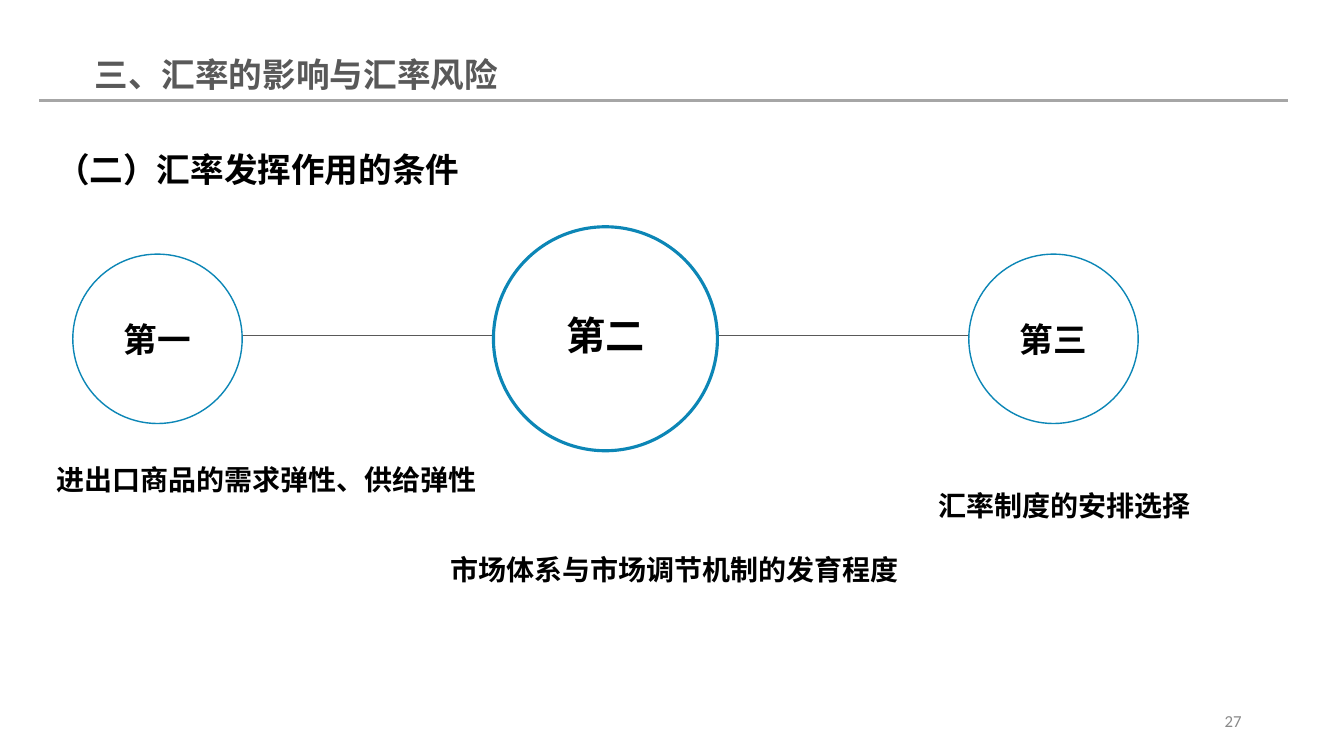
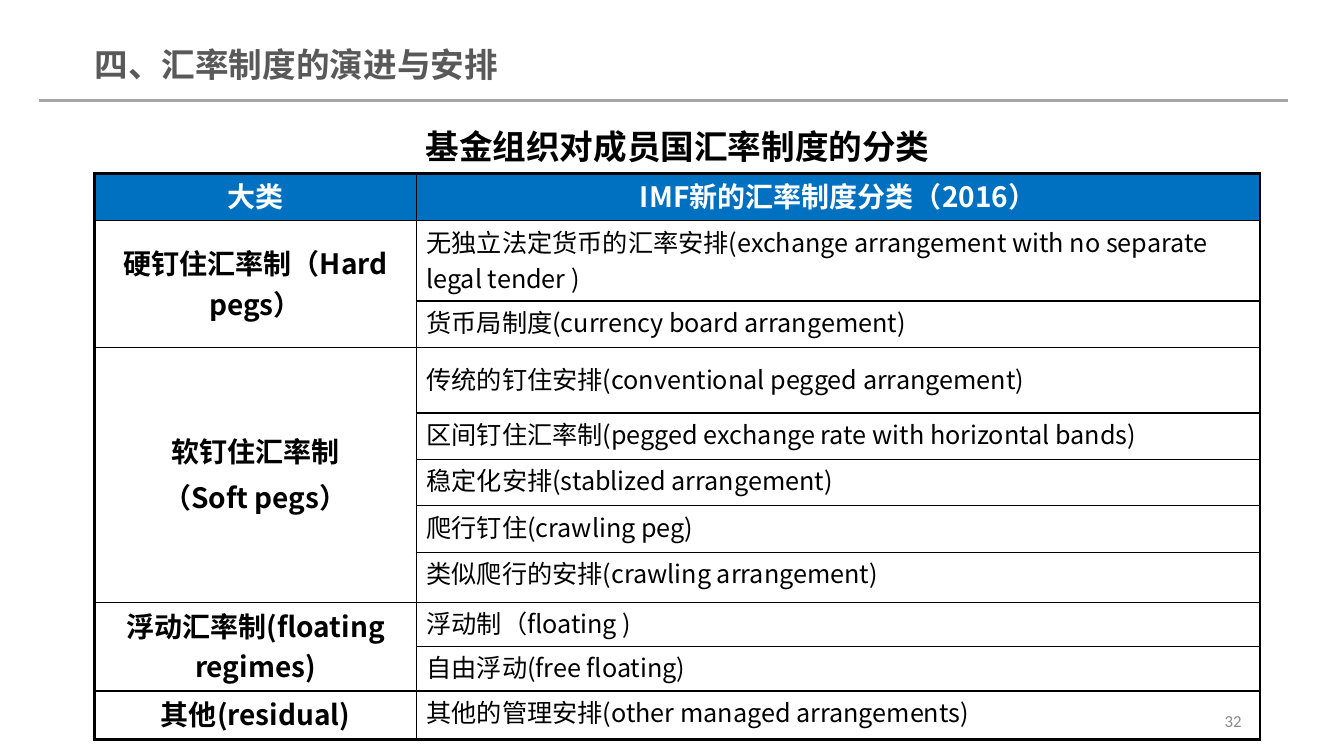
import pptx
import pptx.dml.color
import pptx.enum.shapes
import pptx.enum.text
import pptx.oxml.ns
import pptx.util
from lxml import etree

Pt = pptx.util.Pt
ALIGN = pptx.enum.text.PP_ALIGN
ANCHOR = pptx.enum.text.MSO_ANCHOR
qn = pptx.oxml.ns.qn

COLORS = {
    "text": "000000",
    "title": "595959",
    "rule": "A6A6A6",
    "page": "898989",
    "link": "595959",
    "ring": "0C86B6",
    "header": "0070C0",
    "white": "FFFFFF",
}
CJK = "Noto Sans CJK SC"


def rgb(name):
    return pptx.dml.color.RGBColor.from_string(COLORS[name])


class Deck:
    """Holds the shared style and the slide being filled."""

    def __init__(self):
        self.presentation = pptx.Presentation()
        self.presentation.slide_width = Pt(960)
        self.presentation.slide_height = Pt(540)
        self.slide = None

    def new_slide(self, title, title_top):
        self.slide = self.presentation.slides.add_slide(
            self.presentation.slide_layouts[6])
        self.line(28, 72, 920, 72, "rule", 2.25)
        self.text(title, 60.5, title_top, 480, 37, color="title")

    def page_number(self, number):
        self.text(str(number), 678, 500.5, 216, 29, size=12, color="page",
                  bold=False, font="Calibri", align=ALIGN.RIGHT,
                  anchor=ANCHOR.MIDDLE)

    def set_text(self, frame, text, size=24, color="text", bold=True,
                 font=CJK, align=ALIGN.LEFT, spacing=None):
        frame.text = text
        for index, paragraph in enumerate(frame.paragraphs):
            paragraph.alignment = align
            if spacing:
                paragraph.line_spacing = spacing
            if index:
                paragraph.space_before = Pt(4)
            paragraph.font.size = Pt(size)
            paragraph.font.bold = bold
            paragraph.font.color.rgb = rgb(color)
            paragraph.font.name = font
            defaults = paragraph._p.pPr.find(qn("a:defRPr"))
            etree.SubElement(defaults, qn("a:ea")).set("typeface", font)

    def text(self, text, left, top, width, height, wrap=True,
             anchor=ANCHOR.TOP, **style):
        box = self.slide.shapes.add_textbox(
            Pt(left), Pt(top), Pt(width), Pt(height))
        box.text_frame.word_wrap = wrap
        box.text_frame.vertical_anchor = anchor
        self.set_text(box.text_frame, text, **style)

    def line(self, x1, y1, x2, y2, color, width):
        connector = self.slide.shapes.add_connector(
            pptx.enum.shapes.MSO_CONNECTOR.STRAIGHT,
            Pt(x1), Pt(y1), Pt(x2), Pt(y2))
        connector.line.color.rgb = rgb(color)
        connector.line.width = Pt(width)
        etree.SubElement(connector._element.spPr, qn("a:effectLst"))

    def circle(self, label, center_x, center_y, diameter, outline, size, lift):
        """Draw a ringed label; lift is the bottom inset that raises it."""
        ring = self.slide.shapes.add_shape(
            pptx.enum.shapes.MSO_SHAPE.OVAL,
            Pt(center_x - diameter / 2), Pt(center_y - diameter / 2),
            Pt(diameter), Pt(diameter))
        ring.shadow.inherit = False
        ring.fill.solid()
        ring.fill.fore_color.rgb = rgb("white")
        ring.line.color.rgb = rgb("ring")
        ring.line.width = Pt(outline)
        frame = ring.text_frame
        frame.margin_top = Pt(0)
        frame.margin_bottom = Pt(lift)
        frame.vertical_anchor = ANCHOR.MIDDLE
        self.set_text(frame, label, size=size, align=ALIGN.CENTER)

    def cell(self, cell, text, borders, fill="white", anchor=ANCHOR.MIDDLE,
             **style):
        """Fill one table cell; borders maps a side (L, R, T, B) to a width."""
        cell.margin_left = cell.margin_right = Pt(7.2)
        cell.margin_top, cell.margin_bottom = Pt(1.4), Pt(3.6)
        cell.vertical_anchor = anchor
        properties = cell._tc.get_or_add_tcPr()
        for side, width in borders.items():
            edge = etree.SubElement(properties, qn("a:ln" + side))
            edge.set("w", str(Pt(width)))
            solid = etree.SubElement(edge, qn("a:solidFill"))
            etree.SubElement(solid, qn("a:srgbClr")).set("val", COLORS["text"])
        cell.fill.solid()
        cell.fill.fore_color.rgb = rgb(fill)
        if text:
            self.set_text(cell.text_frame, text, **style)

    def regime_table(self, headings, regimes, left, top, widths, heights):
        """Draw a two-column table with one merged cell per category."""
        table = self.slide.shapes.add_table(
            len(heights), len(widths), Pt(left), Pt(top),
            Pt(sum(widths)), Pt(sum(heights))).table
        table.first_row = table.horz_banding = False
        for column, width in zip(table.columns, widths):
            column.width = Pt(width)
        for row, height in zip(table.rows, heights):
            row.height = Pt(height)

        def borders(row, column):
            return {"L": 1 if column else 2.25, "R": 1,
                    "T": 1 if row else 2.25,
                    "B": 2.25 if row == len(heights) - 1 else 1}

        for column, heading in enumerate(headings):
            self.cell(table.cell(0, column), heading, borders(0, column),
                      fill="header", anchor=ANCHOR.TOP, size=20,
                      color="white", align=ALIGN.CENTER)
        row = 1
        for category, arrangements in regimes:
            first = row
            for arrangement, anchor in arrangements:
                self.cell(table.cell(row, 0), category if row == first else "",
                          borders(row, 0), size=20, align=ALIGN.CENTER)
                self.cell(table.cell(row, 1), arrangement, borders(row, 1),
                          anchor=anchor, size=18, bold=False)
                row += 1
            if row - first > 1:
                table.cell(first, 0).merge(table.cell(row - 1, 0))


def conditions_slide(deck):
    deck.new_slide("三、汇率的影响与汇率风险", 35.3)
    deck.text("（二）汇率发挥作用的条件", 33, 97, 604, 42.5, spacing=1.2)

    first_x, step, center_y = 112.5, 320, 242
    deck.line(first_x, 239.5, first_x + 2 * step, 239.5, "link", 0.5)
    rings = [("第一", 121, 1, 24, 0), ("第二", 160, 2.25, 28, 5),
             ("第三", 121, 1, 24, 0)]
    for index, (label, diameter, outline, size, lift) in enumerate(rings):
        deck.circle(label, first_x + index * step, center_y, diameter,
                    outline, size, lift)

    conditions = [("进出口商品的需求弹性、供给弹性", 33, 322),
                  ("市场体系与市场调节机制的发育程度", 314.6, 386),
                  ("汇率制度的安排选择", 663.3, 340.5)]
    for condition, left, top in conditions:
        deck.text(condition, left, top, 20 * len(condition) + 15, 36.5,
                  wrap=False, size=20, spacing=1.2)
    deck.page_number(27)


def classification_slide(deck):
    deck.new_slide("四、汇率制度的演进与安排", 28)
    regimes = [
        ("硬钉住汇率制（Hard pegs）", [
            ("无独立法定货币的汇率安排(exchange arrangement with no separate "
             "legal tender )", ANCHOR.TOP),
            ("货币局制度(currency board arrangement)", ANCHOR.TOP)]),
        ("软钉住汇率制\n（Soft pegs）", [
            ("传统的钉住安排(conventional pegged arrangement)", ANCHOR.MIDDLE),
            ("区间钉住汇率制(pegged exchange rate with horizontal bands)",
             ANCHOR.TOP),
            ("稳定化安排(stablized arrangement)", ANCHOR.TOP),
            ("爬行钉住(crawling peg)", ANCHOR.TOP),
            ("类似爬行的安排(crawling arrangement)", ANCHOR.TOP)]),
        ("浮动汇率制(floating regimes)", [
            ("浮动制（floating )", ANCHOR.TOP),
            ("自由浮动(free floating)", ANCHOR.TOP)]),
        ("其他(residual)", [
            ("其他的管理安排(other managed arrangements)", ANCHOR.TOP)]),
    ]
    deck.regime_table(
        ["大类", "IMF新的汇率制度分类（2016）"], regimes, 67.7, 123.8,
        [229.7, 602.6],
        [34, 57.2, 33.2, 46.8, 33.2, 33.2, 33.2, 36, 31.1, 32, 34.4])
    deck.text("基金组织对成员国汇率制度的分类", 239, 80.6, 490, 39,
              align=ALIGN.CENTER, spacing=1.2)
    deck.page_number(32)


def main():
    deck = Deck()
    conditions_slide(deck)
    classification_slide(deck)
    deck.presentation.save("out.pptx")


if __name__ == "__main__":
    main()
